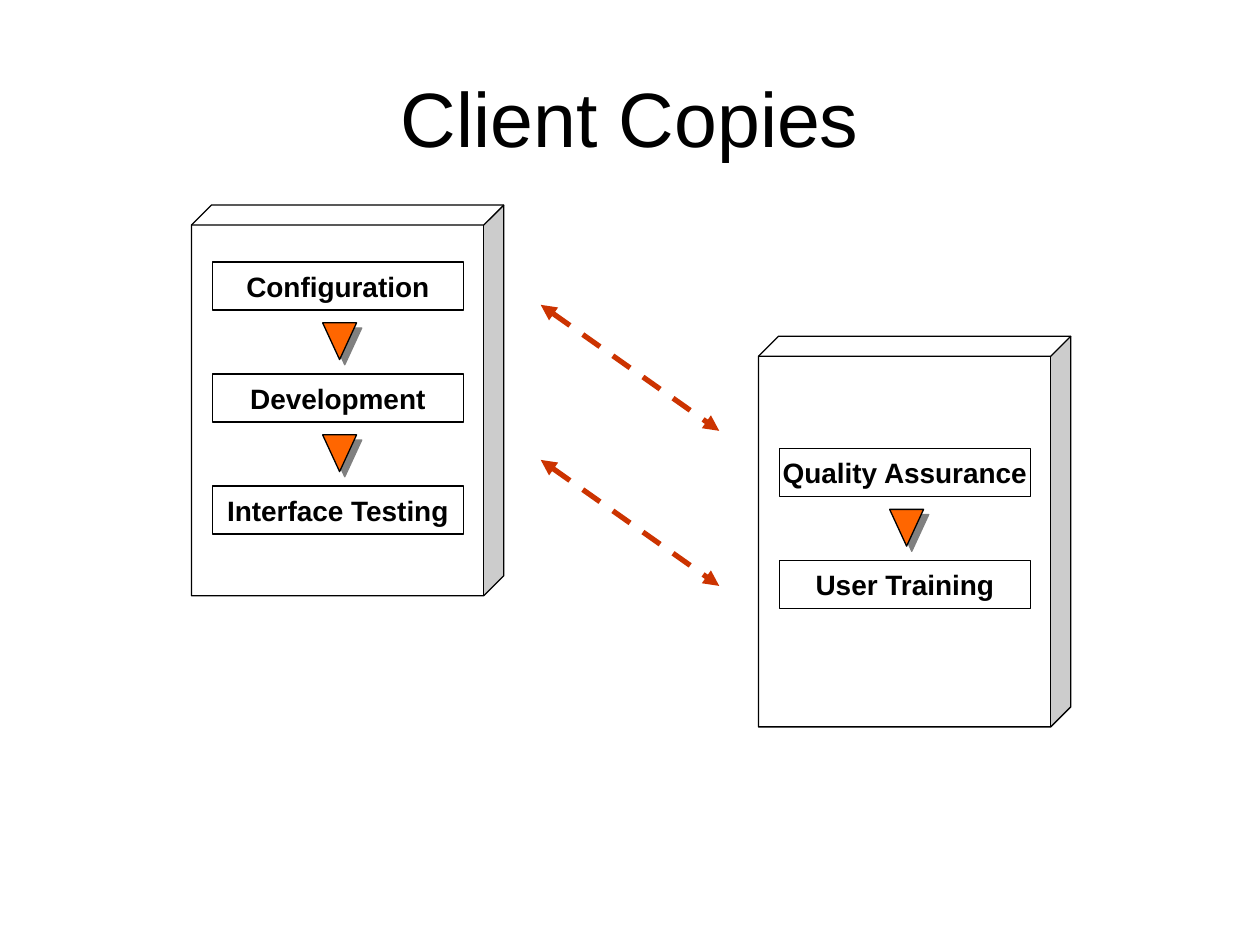
from lxml.etree import SubElement
from pptx import Presentation
from pptx.dml.color import RGBColor
from pptx.enum.dml import MSO_LINE
from pptx.enum.shapes import MSO_CONNECTOR, MSO_SHAPE
from pptx.enum.text import MSO_ANCHOR, PP_ALIGN
from pptx.oxml.ns import qn
from pptx.util import Pt

COLORS = {
    "paper": "FFFFFF",
    "ink": "000000",
    "step": "FF6600",
    "shadow": "808080",
    "transport": "CC3300",
}
FONT = "Arial"
CUBE_SIZE = (178.5, 223.2)
BOX_SIZE = (143.3, 27.4)
MARKER_SIZE = (19.4, 21)
BOX_INSET = 12
MARKER_INSET = 75
BOX_STEP = 64
MARKER_DROP = 34.8


def color(name):
    return RGBColor.from_string(COLORS[name])


def write_text(shape, text, size, bold=False, space_before=0, wrap=True):
    frame = shape.text_frame
    frame.word_wrap = wrap
    frame.vertical_anchor = MSO_ANCHOR.MIDDLE
    paragraph = frame.paragraphs[0]
    paragraph.alignment = PP_ALIGN.CENTER
    paragraph.space_before = Pt(space_before)
    run = paragraph.add_run()
    run.text = text
    run.font.name = FONT
    run.font.size = Pt(size)
    run.font.bold = bold
    run.font.color.rgb = color("ink")


def add_title(slide, text):
    title = slide.shapes.add_textbox(Pt(36), Pt(21.6), Pt(648), Pt(90))
    write_text(title, text, 44)


def add_outlined(shapes, kind, left, top, size, fill=None):
    """Add a preset shape with a thin dark outline and an optional fill."""
    shape = shapes.add_shape(kind, Pt(left), Pt(top), *map(Pt, size))
    shape.shadow.inherit = False
    if fill:
        shape.fill.solid()
        shape.fill.fore_color.rgb = color(fill)
    else:
        shape.fill.background()
    shape.line.color.rgb = color("ink")
    shape.line.width = Pt(0.75)
    return shape


def add_marker(shapes, left, top):
    """Add a downward triangle with a hard shadow to its lower right."""
    marker = add_outlined(shapes, MSO_SHAPE.ISOSCELES_TRIANGLE, left, top,
                          MARKER_SIZE, "step")
    properties = marker.element.spPr
    properties.find(qn("a:xfrm")).set("flipV", "1")
    effects = properties.find(qn("a:effectLst"))
    shadow = SubElement(effects, qn("a:outerShdw"), dist=str(Pt(4.2)),
                        dir=str(45 * 60000), algn="ctr", rotWithShape="0")
    SubElement(shadow, qn("a:srgbClr"), val=COLORS["shadow"])


def add_system(slide, left, top, first_box_top, clients):
    """Add a cube holding a column of client boxes with markers between."""
    shapes = slide.shapes.add_group_shape().shapes
    cube = add_outlined(shapes, MSO_SHAPE.CUBE, left, top, CUBE_SIZE, "paper")
    cube.adjustments[0] = 0.064
    for index, client in enumerate(clients):
        box_top = first_box_top + index * BOX_STEP
        box = add_outlined(shapes, MSO_SHAPE.RECTANGLE, left + BOX_INSET,
                           box_top, BOX_SIZE)
        write_text(box, client, 16, bold=True, space_before=10, wrap=False)
        if index < len(clients) - 1:
            add_marker(shapes, left + MARKER_INSET, box_top + MARKER_DROP)


def add_transport(slide, top):
    """Add a dashed arrow that points both ways between the systems."""
    arrow = slide.shapes.add_connector(MSO_CONNECTOR.STRAIGHT, Pt(309), Pt(top),
                                       Pt(411), Pt(top + 72))
    arrow.line.color.rgb = color("transport")
    arrow.line.width = Pt(3)
    arrow.line.dash_style = MSO_LINE.DASH
    properties = arrow.element.spPr
    line = properties.find(qn("a:ln"))
    for end in ("a:headEnd", "a:tailEnd"):
        SubElement(line, qn(end), type="triangle")
    SubElement(properties, qn("a:effectLst"))


def main():
    presentation = Presentation()
    presentation.slide_width = Pt(720)
    presentation.slide_height = Pt(540)
    slide = presentation.slides.add_slide(presentation.slide_layouts[6])
    add_title(slide, "Client Copies")
    add_system(slide, 109.4, 117.2, 149.7,
               ["Configuration", "Development", "Interface Testing"])
    add_system(slide, 433.4, 192.2, 256.3,
               ["Quality Assurance", "User Training"])
    for top in (174.2, 262.8):
        add_transport(slide, top)
    presentation.save("out.pptx")


if __name__ == "__main__":
    main()
